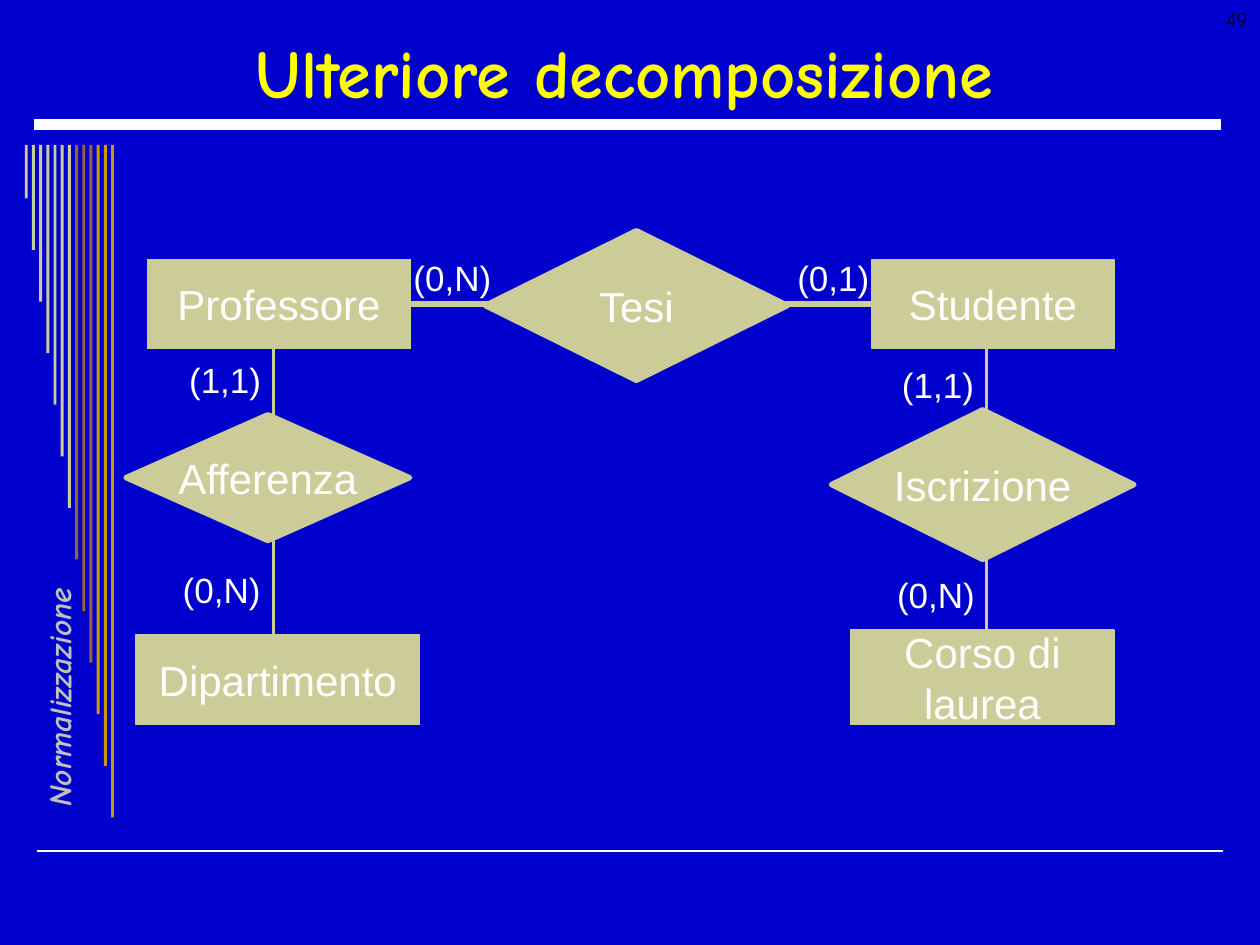
from typing import NamedTuple

from lxml import etree
from pptx import Presentation
from pptx import util as u
from pptx.dml.color import RGBColor
from pptx.enum import shapes, text
from pptx.oxml.ns import qn

BLUE, WHITE, YELLOW, SILVER, BLACK = "0000CC", "FFFFFF", "FFFF00", "C0C0C0", "000000"
SAND, BROWN, GOLD = "CCCC99", "996633", "CC9900"
BODY_FONT, HEAD_FONT = "Arial", "Comic Neue"
RECTANGLE = shapes.MSO_SHAPE.RECTANGLE
DIAMOND = shapes.MSO_SHAPE.DIAMOND
MIDDLE, TOP = text.MSO_ANCHOR.MIDDLE, text.MSO_ANCHOR.TOP


class Area(NamedTuple):
    """Left, top, width and height in centimetres."""
    left: float
    top: float
    width: float
    height: float

    def lengths(self) -> list[u.Cm]:
        return [u.Cm(value) for value in self]


class Node(NamedTuple):
    name: str
    area: Area


class Line(NamedTuple):
    """Start and end points in centimetres, width in points."""
    x1: float
    y1: float
    x2: float
    y2: float
    width: float
    color: str


class Style(NamedTuple):
    size: float
    font: str = BODY_FONT
    color: str = WHITE
    bold: bool = False
    italic: bool = False
    align: text.PP_ALIGN = text.PP_ALIGN.CENTER


NODE_STYLE = Style(24)
LABEL_STYLE = Style(20)
TITLE_STYLE = Style(39, HEAD_FONT, YELLOW, bold=True)
SIDE_STYLE = Style(18, HEAD_FONT, SILVER, True, True, text.PP_ALIGN.LEFT)
NUMBER_STYLE = Style(12, HEAD_FONT, BLACK, align=text.PP_ALIGN.RIGHT)

RULES = [
    Line(0.74, 17.15, 24.66, 17.15, 1, WHITE),
    Line(0.69, 2.51, 24.61, 2.51, 6, WHITE),
]
STRIPE_COLORS = [SAND] * 7 + [BROWN] * 3 + [GOLD] * 3

ENTITIES = [
    Node("Professore", Area(2.97, 5.23, 5.31, 1.8)),
    Node("Studente", Area(17.58, 5.23, 4.88, 1.8)),
    Node("Corso di\nlaurea", Area(17.15, 12.7, 5.31, 1.9)),
    Node("Dipartimento", Area(2.74, 12.8, 5.72, 1.8)),
]
RELATIONS = [
    Node("Afferenza", Area(2.54, 8.36, 5.72, 2.54)),
    Node("Tesi", Area(9.78, 4.65, 6.1, 3.02)),
    Node("Iscrizione", Area(16.76, 8.26, 6.1, 3.02)),
]
LINKS = [
    Line(5.51, 6.88, 5.51, 8.79, 2, SAND),
    Line(5.51, 10.9, 5.51, 12.8, 2, SAND),
    Line(19.89, 6.99, 19.89, 8.89, 2, SAND),
    Line(19.89, 11, 19.89, 12.9, 2, SAND),
]
CARDINALITIES = [
    Node("(1,1)", Area(3.56, 7.09, 1.96, 1.12)),
    Node("(0,N)", Area(3.43, 11.33, 2.08, 1.12)),
    Node("(0,N)", Area(8.08, 5.03, 2.08, 1.12)),
    Node("(0,1)", Area(15.82, 5.03, 1.96, 1.12)),
    Node("(1,1)", Area(17.93, 7.19, 1.96, 1.12)),
    Node("(0,N)", Area(17.83, 11.43, 2.08, 1.12)),
]


def rgb(color: str) -> RGBColor:
    return RGBColor.from_string(color)


def write(shape, words: str, style: Style, anchor=MIDDLE, wrap: bool = False) -> None:
    frame = shape.text_frame
    frame.word_wrap = wrap
    frame.vertical_anchor = anchor
    frame.text = words
    for para in frame.paragraphs:
        para.alignment = style.align
        font = para.font
        font.name, font.size = style.font, u.Pt(style.size)
        font.bold, font.italic = style.bold, style.italic
        font.color.rgb = rgb(style.color)


def add_text(page, node: Node, style: Style, anchor=MIDDLE, wrap: bool = False):
    box = page.shapes.add_textbox(*node.area.lengths())
    write(box, node.name, style, anchor, wrap)
    return box


def add_block(page, kind, area: Area, color: str, border: float = 0):
    block = page.shapes.add_shape(kind, *area.lengths())
    block.shadow.inherit = False
    block.fill.solid()
    block.fill.fore_color.rgb = rgb(color)
    if border:
        block.line.color.rgb = rgb(color)
        block.line.width = u.Pt(border)
    else:
        block.line.fill.background()
    return block


def add_node(page, kind, node: Node, border: float):
    block = add_block(page, kind, node.area, SAND, border)
    write(block, node.name, NODE_STYLE)
    return block


def add_line(page, line: Line):
    ends = [u.Cm(value) for value in line[:4]]
    connector = page.shapes.add_connector(shapes.MSO_CONNECTOR.STRAIGHT, *ends)
    connector.line.color.rgb = rgb(line.color)
    connector.line.width = u.Pt(line.width)
    etree.SubElement(connector._element.spPr, qn("a:effectLst"))
    return connector


def add_frame(page) -> None:
    # Rules, stripes of growing length and the side caption
    for rule in RULES:
        add_line(page, rule)
    for index, color in enumerate(STRIPE_COLORS):
        area = Area(0.5 + 0.145 * index, 2.92, 0.06, 1.08 + 1.04 * index)
        add_block(page, RECTANGLE, area, color)
    caption = Node("Normalizzazione", Area(-1.91, 13.31, 5.79, 0.61))
    add_text(page, caption, SIDE_STYLE, TOP).rotation = 270

    # Title and page number
    title = Node("Ulteriore decomposizione", Area(0.89, 0.53, 23.39, 1.8))
    add_text(page, title, TITLE_STYLE, wrap=True)
    number = Node("49", Area(19.48, 0, 5.92, 1.27))
    add_text(page, number, NUMBER_STYLE, TOP, wrap=True)


def add_diagram(page) -> None:
    # Entities and the lines between them
    entities = {node.name: add_node(page, RECTANGLE, node, 0.75) for node in ENTITIES}
    for link in LINKS:
        add_line(page, link)
    thesis_link = add_line(page, Line(8.28, 6.13, 17.58, 6.13, 3, SAND))
    thesis_link.begin_connect(entities["Professore"], 3)
    thesis_link.end_connect(entities["Studente"], 1)

    # Relations cover the lines; cardinalities go on top
    for relation in RELATIONS:
        add_node(page, DIAMOND, relation, 3)
    for cardinality in CARDINALITIES:
        label = add_text(page, cardinality, LABEL_STYLE)
        label.text_frame.auto_size = text.MSO_AUTO_SIZE.SHAPE_TO_FIT_TEXT


def main() -> None:
    deck = Presentation()
    deck.slide_width, deck.slide_height = u.Cm(25.4), u.Cm(19.05)
    page = deck.slides.add_slide(deck.slide_layouts[6])
    page.background.fill.solid()
    page.background.fill.fore_color.rgb = rgb(BLUE)
    add_frame(page)
    add_diagram(page)
    deck.save("out.pptx")


if __name__ == "__main__":
    main()
